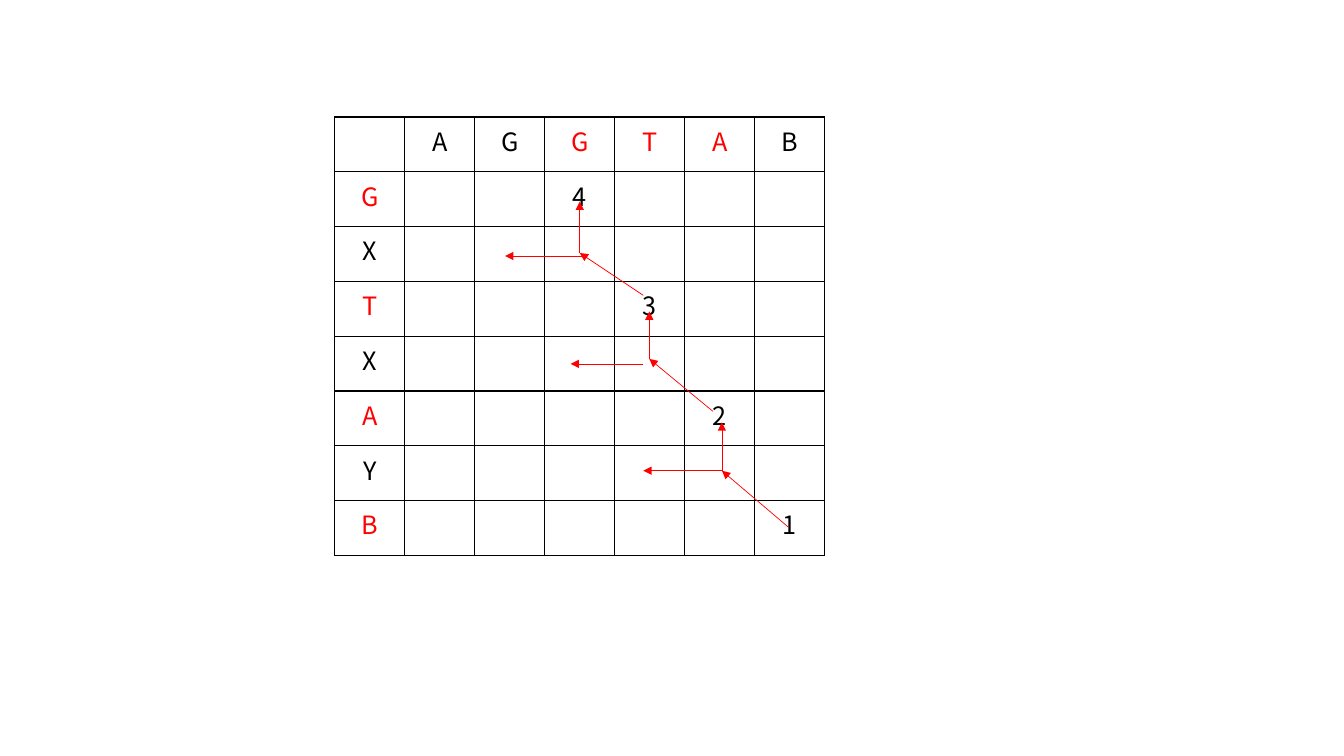
from lxml.etree import SubElement
from pptx import Presentation
from pptx.dml.color import RGBColor
from pptx.enum.shapes import MSO_CONNECTOR as Connector
from pptx.enum.text import PP_ALIGN as Align
from pptx.oxml.ns import qn
from pptx.util import Inches, Pt

COLORS = {"ink": "000000", "match": "FF0000", "paper": "FFFFFF"}
FONT = "Noto Sans CJK SC"


def write(cell, text, color="ink", size=18, align=Align.CENTER):
    paragraph = cell.text_frame.paragraphs[0]
    paragraph.alignment = align
    run = paragraph.add_run()
    run.text = text
    run.font.name = FONT
    run.font.size = Pt(size)
    run.font.color.rgb = RGBColor.from_string(COLORS[color])


def add_borders(cell, color="ink", width=1):
    properties = cell._tc.get_or_add_tcPr()
    for position, side in enumerate(("lnL", "lnR", "lnT", "lnB")):
        border = SubElement(properties, qn(f"a:{side}"), w=str(Pt(width)))
        solid = SubElement(border, qn("a:solidFill"))
        SubElement(solid, qn("a:srgbClr"), val=COLORS[color])
        properties.insert(position, border)


prs = Presentation()
prs.slide_width = Inches(13.33)
prs.slide_height = Inches(7.5)
slide = prs.slides.add_slide(prs.slide_layouts[6])

top_word, matched_columns = "AGGTAB", (3, 4, 5)
side_word, matched_rows = "GXTXAYB", (1, 3, 5, 7)
steps = {(1, 3): "4", (3, 4): "3", (5, 5): "2", (7, 6): "1"}
row_count, column_count = len(side_word) + 1, len(top_word) + 1

grid = slide.shapes.add_table(
    row_count, column_count, Inches(3.32), Inches(1.16), Inches(4.86), Inches(4.35)
).table
grid.first_row = False
grid.horz_banding = False

for row in range(row_count):
    for column in range(column_count):
        cell = grid.cell(row, column)
        if row < row_count - 1 and column < column_count - 1:
            cell.fill.solid()
            cell.fill.fore_color.rgb = RGBColor.from_string(COLORS["paper"])
        else:
            cell.fill.background()
        add_borders(cell)

for column, letter in enumerate(top_word, 1):
    write(grid.cell(0, column), letter, color="match" if column in matched_columns else "ink")
for row, letter in enumerate(side_word, 1):
    write(grid.cell(row, 0), letter, color="match" if row in matched_rows else "ink")
for (row, column), step in steps.items():
    write(grid.cell(row, column), step)

trace = [
    (7.82, 5.23, 7.16, 4.67),
    (7.16, 4.67, 6.38, 4.67),
    (7.16, 4.67, 7.16, 4.19),
    (7.07, 4.08, 6.44, 3.56),
    (6.38, 3.61, 5.66, 3.61),
    (6.44, 3.56, 6.44, 3.09),
    (6.38, 2.93, 5.75, 2.51),
    (5.77, 2.54, 5.01, 2.54),
    (5.75, 2.51, 5.75, 2),
]
for ends in trace:
    arrow = slide.shapes.add_connector(Connector.STRAIGHT, *map(Inches, ends))
    arrow.line.color.rgb = RGBColor.from_string(COLORS["match"])
    arrow.line.width = Pt(0.5)
    SubElement(arrow.line._get_or_add_ln(), qn("a:tailEnd"), type="triangle")
    SubElement(arrow._element.spPr, qn("a:effectLst"))

prs.save("out.pptx")
